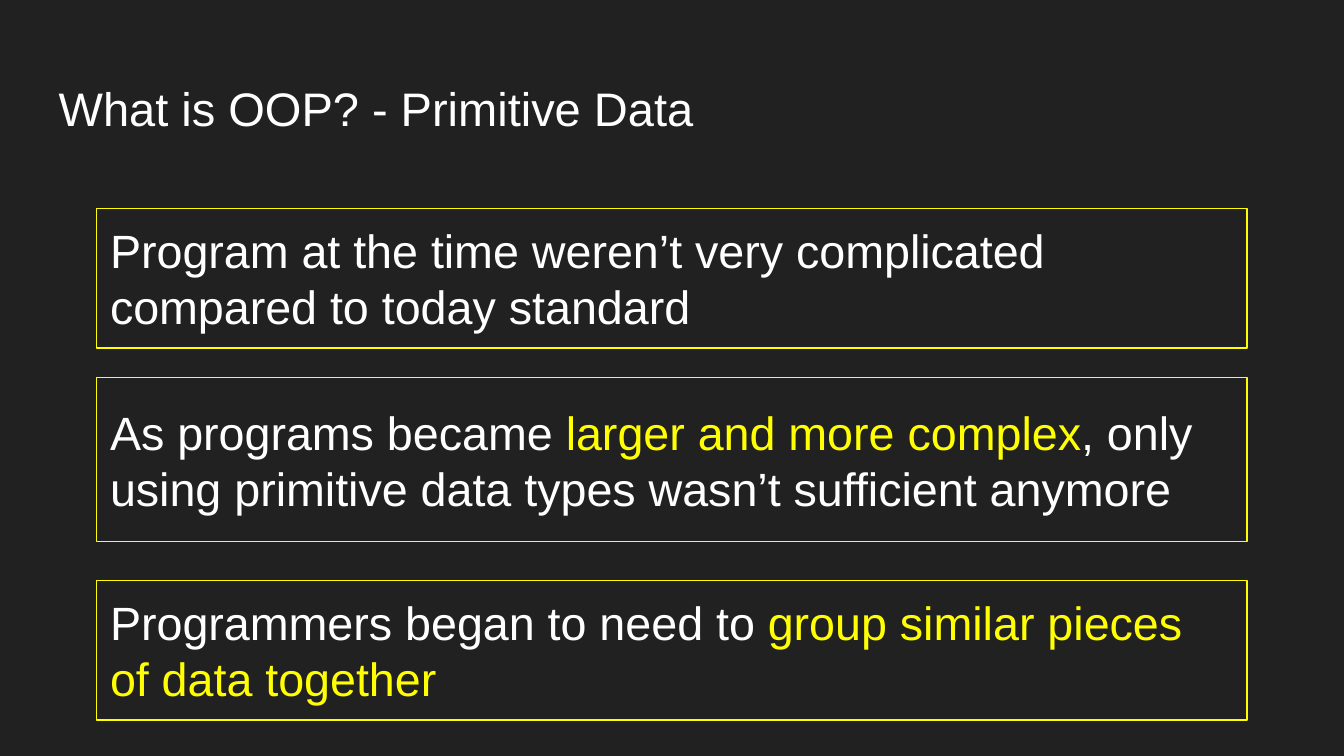
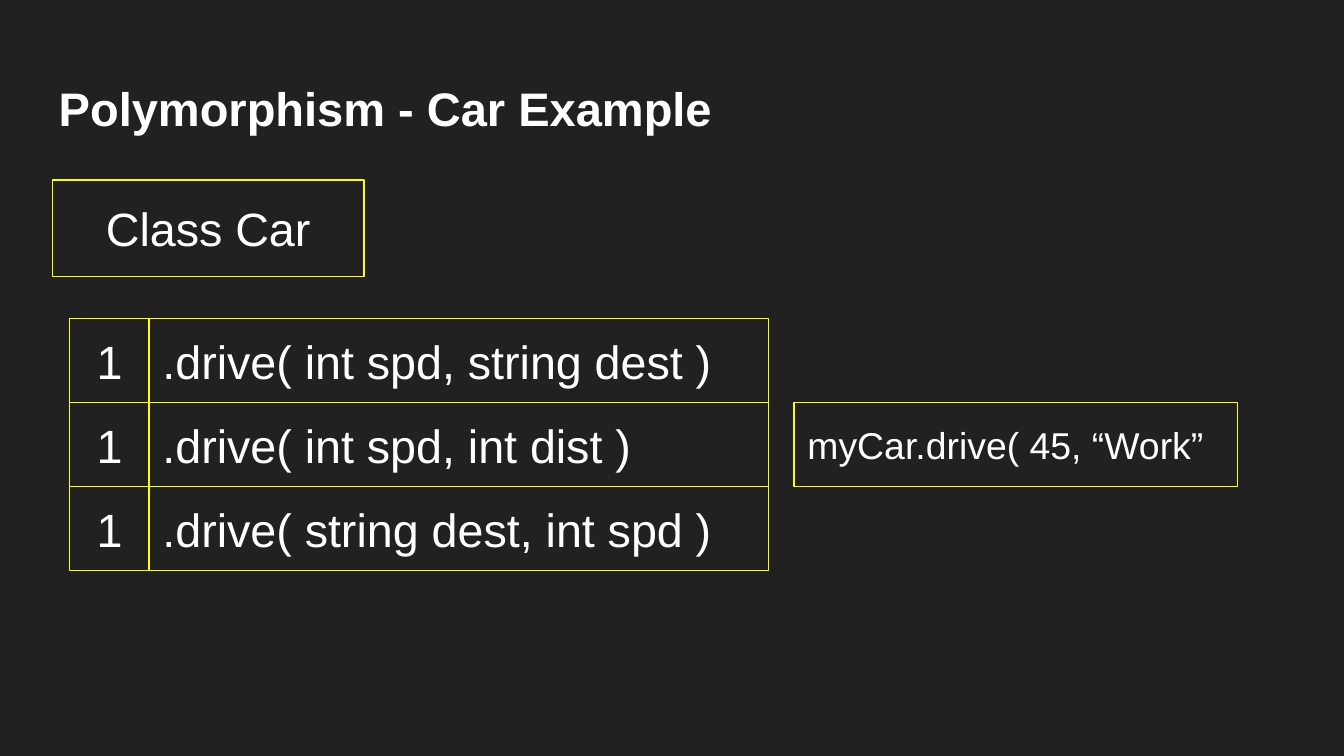
from pptx import Presentation
from pptx.dml.color import RGBColor
from pptx.enum.shapes import MSO_SHAPE
from pptx.enum.text import MSO_ANCHOR, MSO_AUTO_SIZE, PP_ALIGN
from pptx.util import Cm, Pt

DARK = RGBColor(0x21, 0x21, 0x21)
YELLOW = RGBColor(0xFF, 0xFF, 0x00)
WHITE = RGBColor(0xFF, 0xFF, 0xFF)
FONT = "Arial"
INSET = 0.25


def format_frame(tf):
    tf.word_wrap = True
    tf.auto_size = MSO_AUTO_SIZE.NONE
    tf.vertical_anchor = MSO_ANCHOR.MIDDLE
    tf.margin_left = tf.margin_right = Cm(INSET)
    tf.margin_top = tf.margin_bottom = Cm(INSET)


def add_run(p, text, size, color=WHITE, bold=False):
    r = p.add_run()
    r.text = text
    r.font.name = FONT
    r.font.size = Pt(size)
    r.font.bold = bold
    r.font.color.rgb = color


def add_titled_slide(prs, title, bold=False):
    s = prs.slides.add_slide(prs.slide_layouts[5])
    sp = s.shapes.title
    sp.left, sp.top, sp.width, sp.height = Cm(0.86), Cm(1.24), Cm(23.67), Cm(1.59)
    format_frame(sp.text_frame)
    p = sp.text_frame.paragraphs[0]
    p.alignment = PP_ALIGN.LEFT
    add_run(p, title, 25.2, bold=bold)
    return s


def add_box(s, box, runs, size=25, align=PP_ALIGN.LEFT):
    """Draw an outlined box; box is left, top, width, height in cm, runs are (text, color)."""
    sp = s.shapes.add_shape(MSO_SHAPE.RECTANGLE, *map(Cm, box))
    sp.shadow.inherit = False
    sp.fill.solid()
    sp.fill.fore_color.rgb = DARK
    sp.line.color.rgb = YELLOW
    sp.line.width = Pt(0.75)
    format_frame(sp.text_frame)
    p = sp.text_frame.paragraphs[0]
    p.alignment = align
    for text, color in runs:
        add_run(p, text, size, color)


def add_method_list(s, box, methods, number_width=1.5):
    """Stack the methods in equal rows, each with a number cell on its left."""
    left, top, width, height = box
    row_height = height / len(methods)
    for i, (number, method) in enumerate(methods):
        y = top + i * row_height
        add_box(s, (left + number_width, y, width - number_width, row_height),
                [(method, WHITE)])
        add_box(s, (left, y, number_width, row_height),
                [(number, WHITE)], align=PP_ALIGN.CENTER)


def build_primitive_data(prs):
    s = add_titled_slide(prs, "What is OOP? - Primitive Data")
    statements = [
        (3.94, 2.64, [("Program at the time weren’t very complicated "
                       "compared to today standard", WHITE)]),
        (7.14, 3.1, [("As programs became", WHITE),
                     (" larger and more complex", YELLOW),
                     (", only using primitive data types wasn’t sufficient anymore", WHITE)]),
        (10.97, 2.64, [("Programmers began to need to ", WHITE),
                       ("group similar pieces of data together", YELLOW)]),
    ]
    for top, height, runs in statements:
        add_box(s, (1.83, top, 21.74, height), runs)


def build_car_example(prs):
    s = add_titled_slide(prs, "Polymorphism - Car Example", bold=True)
    add_box(s, (0.99, 3.4, 5.89, 1.83), [("Class Car", WHITE)], align=PP_ALIGN.CENTER)
    add_method_list(s, (1.32, 6.02, 13.21, 4.77), [
        ("1", ".drive( int spd, string dest )"),
        ("1", ".drive( int spd, int dist )"),
        ("1", ".drive( string dest, int spd )"),
    ])
    add_box(s, (15.01, 7.61, 8.38, 1.59), [("myCar.drive( 45, “Work”", WHITE)], size=20)


def main():
    prs = Presentation()
    prs.slide_width, prs.slide_height = Cm(25.4), Cm(14.29)
    fill = prs.slide_master.background.fill
    fill.solid()
    fill.fore_color.rgb = DARK
    build_primitive_data(prs)
    build_car_example(prs)
    prs.save("out.pptx")


if __name__ == "__main__":
    main()
